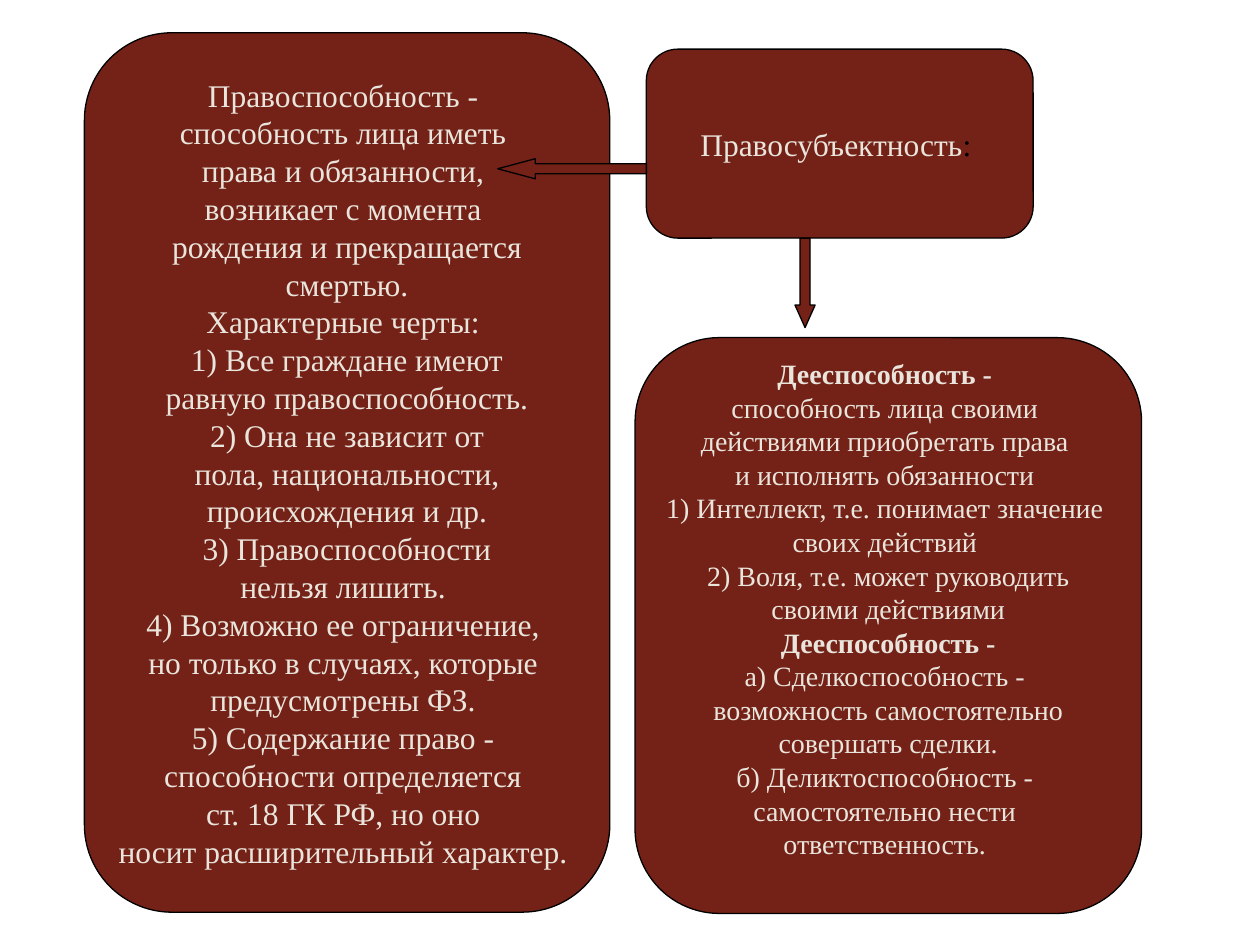
import copy

import pptx
import pptx.dml.color
import pptx.enum.shapes
import pptx.enum.text
import pptx.util

Inches = pptx.util.Inches
SHAPES = pptx.enum.shapes.MSO_SHAPE


def color(value):
    return pptx.dml.color.RGBColor.from_string(value)


def add_text(paragraph, text, size=18, bold=False, fill="E9E5DC"):
    for index, line in enumerate(text.split("\n")):
        if index:
            paragraph.add_line_break()
            paragraph._p[-1].append(copy.deepcopy(run._r.rPr))
        run = paragraph.add_run()
        run.text = line
        run.font.name = "Times New Roman"
        run.font.size = pptx.util.Pt(size)
        run.font.bold = bold
        run.font.color.rgb = color(fill)


presentation = pptx.Presentation()
presentation.slide_width = Inches(10)
presentation.slide_height = Inches(7.5)
slide = presentation.slides.add_slide(presentation.slide_layouts[6])

legal_capacity = """Правоспособность - 
способность лица иметь 
права и обязанности, 
возникает с момента 
рождения и прекращается
смертью.
Характерные черты: 
1) Все граждане имеют
равную правоспособность.
2) Она не зависит от
пола, национальности,
происхождения и др.
3) Правоспособности
нельзя лишить. 
4) Возможно ее ограничение, 
но только в случаях, которые 
предусмотрены ФЗ. 
5) Содержание право - 
способности определяется 
ст. 18 ГК РФ, но оно 
носит расширительный характер. """

active_capacity_intro = """способность лица своими 
действиями приобретать права 
и исполнять обязанности 
1) Интеллект, т.е. понимает значение """

active_capacity_will = """своих действий 
2) Воля, т.е. может руководить"""

active_capacity_kinds = """а) Сделкоспособность - 
возможность самостоятельно
совершать сделки.
б) Деликтоспособность - 
самостоятельно нести 
ответственность. """

heading = {"size": 16, "bold": True}
body = {"size": 16}
boxes = [
    ((0.67, 0.26, 4.17, 6.98), 0.05, [[(legal_capacity, {})]]),
    ((5.04, 2.68, 4.02, 4.57), 0.32, [
        [("Дееспособность - \n", heading), (active_capacity_intro, body)],
        [(active_capacity_will, body)],
        [("своими действиями", body)],
        [("Дееспособность -\n", heading), (active_capacity_kinds, body)],
    ]),
    ((5.13, 0.39, 3.07, 1.5), 0.05, [
        [("Правосубъектность", {}), (": ", {"fill": "000000"})],
    ]),
]
arrows = [
    (SHAPES.LEFT_ARROW, (3.95, 1.26, 1.18, 0.16), (0.5, 1.87)),
    (SHAPES.DOWN_ARROW, (6.31, 1.89, 0.16, 0.71), (0.5, 1.12)),
]

for position, bottom_margin, paragraphs in boxes:
    shape = slide.shapes.add_shape(SHAPES.ROUNDED_RECTANGLE, *map(Inches, position))
    frame = shape.text_frame
    frame.word_wrap = False
    frame.vertical_anchor = pptx.enum.text.MSO_ANCHOR.MIDDLE
    frame.margin_bottom = Inches(bottom_margin)
    for index, pieces in enumerate(paragraphs):
        paragraph = frame.add_paragraph() if index else frame.paragraphs[0]
        paragraph.alignment = pptx.enum.text.PP_ALIGN.CENTER
        for text, style in pieces:
            add_text(paragraph, text, **style)

for kind, position, adjustments in arrows:
    shape = slide.shapes.add_shape(kind, *map(Inches, position))
    for index, value in enumerate(adjustments):
        shape.adjustments[index] = value

for shape in slide.shapes:
    shape.shadow.inherit = False
    shape.fill.solid()
    shape.fill.fore_color.rgb = color("742217")
    shape.line.color.rgb = color("000000")
    shape.line.width = pptx.util.Pt(0.75)

presentation.save("out.pptx")
